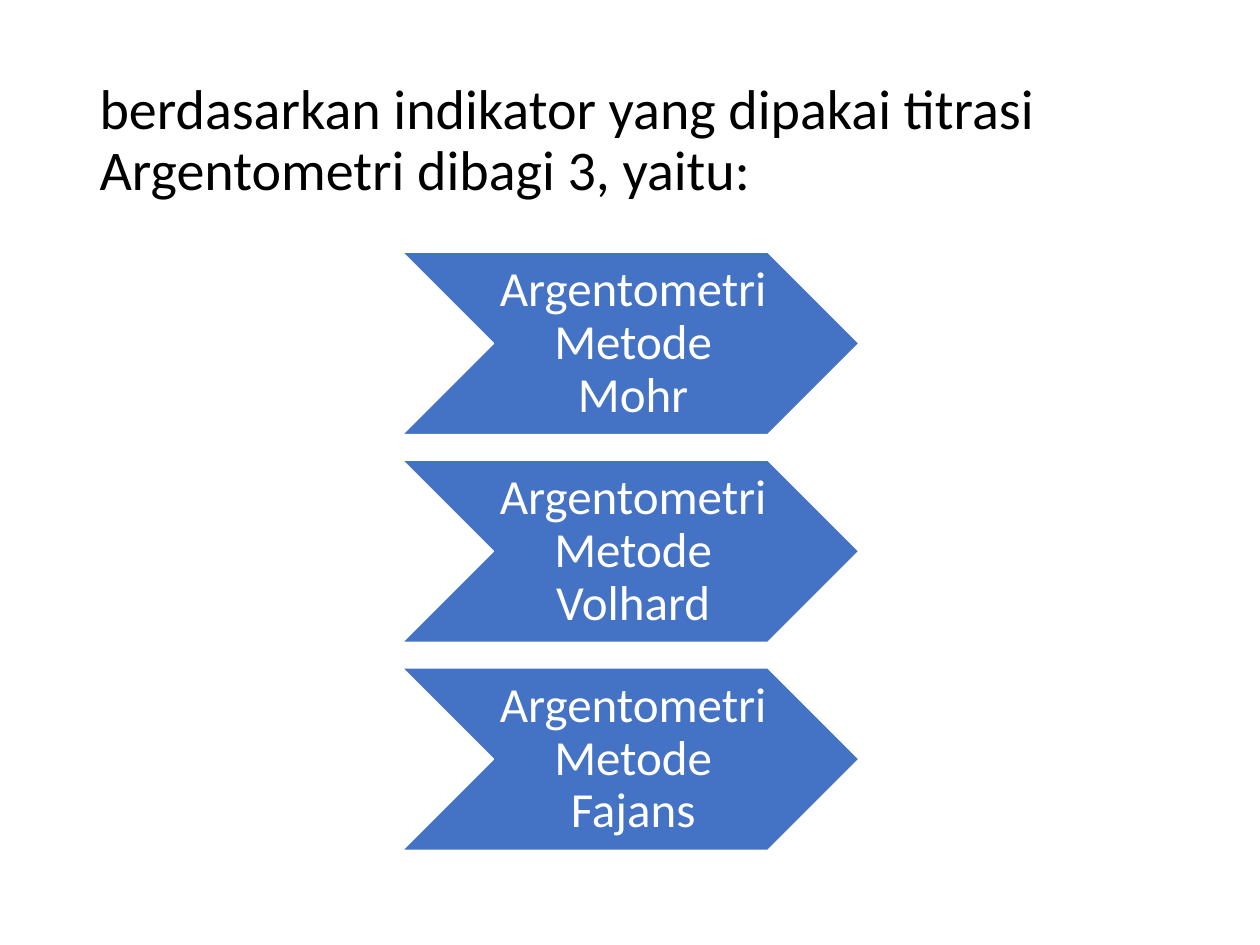
from dataclasses import dataclass

from pptx import Presentation
from pptx.dml.color import RGBColor as RGB
from pptx.enum.shapes import MSO_SHAPE as SHAPE
from pptx.enum.text import MSO_ANCHOR as ANCHOR, MSO_AUTO_SIZE as AUTO, PP_ALIGN as ALIGN
from pptx.util import Pt


@dataclass(frozen=True)
class Theme:
    """Colours, font and type sizes of the slide."""
    font: str = "Calibri"
    ink: RGB = RGB(0x00, 0x00, 0x00)
    white: RGB = RGB(0xFF, 0xFF, 0xFF)
    blue: RGB = RGB(0x44, 0x72, 0xC4)
    title_size: int = 32
    label_size: int = 28


THEME = Theme()
METHODS = ("Mohr", "Volhard", "Fajans")
LEFT, TOP, WIDTH, HEIGHT, PITCH = 229.7, 144, 261.3, 104.4, 118.8


def write(tf, text, size, color, align):
    """Fill a text frame with one formatted paragraph."""
    tf.word_wrap = True
    tf.auto_size = AUTO.NONE
    tf.vertical_anchor = ANCHOR.MIDDLE
    p = tf.paragraphs[0]
    p.text = text
    p.alignment = align
    p.line_spacing = 0.9
    p.font.name = THEME.font
    p.font.size = Pt(size)
    p.font.color.rgb = color


def add_title(s, text):
    """Place and format the title placeholder."""
    sp = s.shapes.title
    sp.left, sp.top, sp.width, sp.height = Pt(49.7), Pt(28.8), Pt(620.6), Pt(104.4)
    write(sp.text_frame, text, THEME.title_size, THEME.ink, ALIGN.LEFT)


def add_chevron(s, top, text):
    """Add a labelled chevron at the given height."""
    sp = s.shapes.add_shape(SHAPE.CHEVRON, Pt(LEFT), Pt(top), Pt(WIDTH), Pt(HEIGHT))
    sp.shadow.inherit = False
    sp.fill.solid()
    sp.fill.fore_color.rgb = THEME.blue
    sp.line.color.rgb = THEME.white
    sp.line.width = Pt(1)
    tf = sp.text_frame
    tf.margin_left, tf.margin_right = Pt(3), Pt(0)
    tf.margin_top = tf.margin_bottom = Pt(1.5)
    write(tf, text, THEME.label_size, THEME.white, ALIGN.CENTER)


def main():
    """Build the slide and save it."""
    prs = Presentation()
    prs.slide_width, prs.slide_height = Pt(720), Pt(540)
    s = prs.slides.add_slide(prs.slide_layouts[5])
    add_title(s, "berdasarkan indikator yang dipakai titrasi Argentometri dibagi 3, yaitu:")
    for i, method in enumerate(METHODS):
        add_chevron(s, TOP + i * PITCH, f"Argentometri Metode {method}")
    prs.save("out.pptx")


if __name__ == "__main__":
    main()
